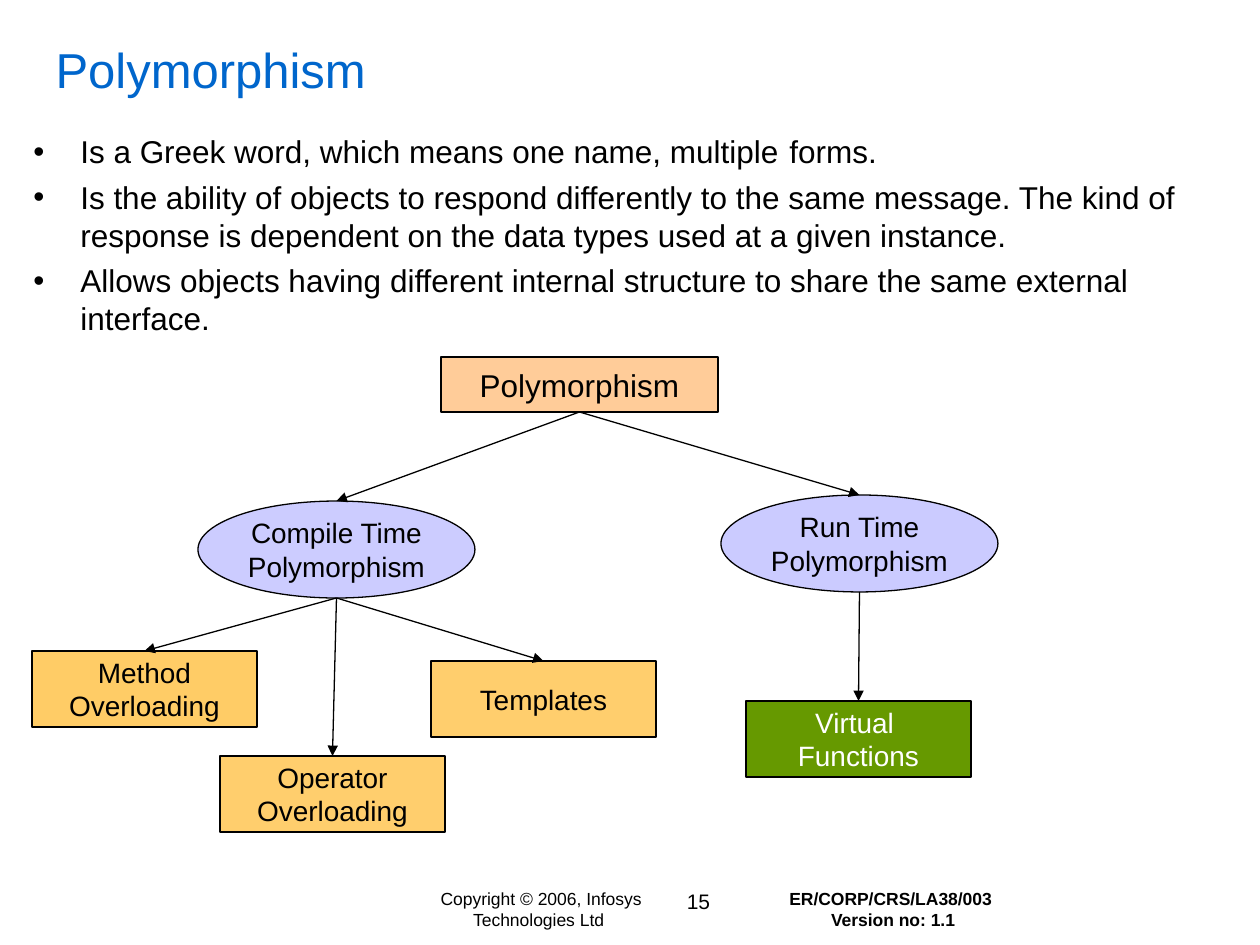
"""Build a slide on the kinds of polymorphism, with bullets and a tree diagram."""
from lxml import etree
from pptx import Presentation
from pptx.dml.color import RGBColor
from pptx.enum.shapes import MSO_CONNECTOR, MSO_SHAPE
from pptx.enum.text import MSO_ANCHOR, MSO_AUTO_SIZE, PP_ALIGN
from pptx.oxml.ns import qn
from pptx.util import Pt

RECTANGLE, ELLIPSE = MSO_SHAPE.RECTANGLE, MSO_SHAPE.OVAL
STRAIGHT = MSO_CONNECTOR.STRAIGHT
LEFT, CENTER = PP_ALIGN.LEFT, PP_ALIGN.CENTER
TOP, MIDDLE = MSO_ANCHOR.TOP, MSO_ANCHOR.MIDDLE
FIXED = MSO_AUTO_SIZE.NONE

INCH = 914400
SCALE = INCH / 126
TITLE_ONLY = 5
FONT = "Arial"
COLORS = {
    "title": "0066CC", "text": "000000", "line": "000000", "light": "FFFFFF",
    "root": "FFCC99", "compile": "CCCCFF", "run": "CBCBFF",
    "method": "FFCC66", "static": "FFCE6D", "virtual": "669900",
}

BULLETS = [
    "Is a Greek word, which means one name, multiple\tforms.",
    "Is the ability of objects to respond differently to the same message. "
    "The kind of response is dependent on the data types used at a given instance.",
    "Allows objects having different internal structure to share the same "
    "external interface.",
]
ROOT_SIZE, KIND_SIZE, LEAF_SIZE = (277, 55), (277, 97), (225, 76)
NODES = {
    "root": (RECTANGLE, (441, 357), ROOT_SIZE, "Polymorphism", "root", 18, "text"),
    "compile": (ELLIPSE, (198, 501), KIND_SIZE, "Compile Time\vPolymorphism",
                "compile", 16, "text"),
    "run": (ELLIPSE, (721, 495), KIND_SIZE, "Run Time\vPolymorphism",
            "run", 16, "text"),
    "method": (RECTANGLE, (32, 651), LEAF_SIZE, "Method\vOverloading",
               "method", 16, "text"),
    "operator": (RECTANGLE, (220, 756), LEAF_SIZE, "Operator\vOverloading",
                 "static", 16, "text"),
    "templates": (RECTANGLE, (431, 661), LEAF_SIZE, "Templates", "static", 16, "text"),
    "virtual": (RECTANGLE, (746, 701), LEAF_SIZE, "Virtual \nFunctions",
                "virtual", 16, "light"),
}
LINKS = [
    ("root", "compile"), ("root", "run"), ("compile", "method"),
    ("compile", "operator"), ("compile", "templates"), ("run", "virtual"),
]
FOOTERS = [
    ((399, 882, 284, 55), "Copyright © 2006, Infosys Technologies Ltd ", 10, False),
    ((638, 882, 121, 38), "15", 12, False),
    ((725, 882, 336, 55), "ER/CORP/CRS/LA38/003 \nVersion no: 1.1", 10, True),
]


def emu(*lengths):
    """Turn px lengths into EMU."""
    return [round(length * SCALE) for length in lengths]


def rgb(name):
    """Look up a named colour."""
    return RGBColor.from_string(COLORS[name])


class SlideBuilder:
    """Hold the slide and its style, and add each kind of element."""

    def __init__(self, slide):
        self.slide = slide

    def format_text(self, shape, size, color="text", align=CENTER, anchor=TOP,
                    bold=False, wrap=True):
        """Apply the shared text style to a shape."""
        frame = shape.text_frame
        frame.auto_size = FIXED
        frame.word_wrap = wrap
        frame.vertical_anchor = anchor
        for paragraph in frame.paragraphs:
            paragraph.alignment = align
            for run in paragraph.runs:
                run.font.name = FONT
                run.font.size = Pt(size)
                run.font.bold = bold
                run.font.color.rgb = rgb(color)

    def title(self, box, text):
        """Fill and place the title placeholder."""
        title = self.slide.shapes.title
        title.left, title.top, title.width, title.height = emu(*box)
        title.text_frame.text = text
        self.format_text(title, 28, "title", LEFT, MIDDLE)

    def text(self, box, text, size, bold=False, align=CENTER):
        """Add a text box."""
        shape = self.slide.shapes.add_textbox(*emu(*box))
        shape.text_frame.text = text
        self.format_text(shape, size, align=align, bold=bold)
        return shape

    def bullets(self, box, items, indent=47):
        """Add a bulleted list with tab stops at every inch."""
        shape = self.text(box, "\n".join(items), 18, align=LEFT)
        hang, = emu(indent)
        for index, paragraph in enumerate(shape.text_frame.paragraphs):
            properties = paragraph._p.get_or_add_pPr()
            properties.set("marL", str(hang))
            properties.set("indent", str(-hang))
            color = etree.SubElement(properties, qn("a:buClr"))
            etree.SubElement(color, qn("a:srgbClr"), val=COLORS["text"])
            etree.SubElement(properties, qn("a:buFont"), typeface=FONT)
            etree.SubElement(properties, qn("a:buChar"), char="•")
            tabs = etree.SubElement(properties, qn("a:tabLst"))
            for stop in range(1, 9):
                etree.SubElement(tabs, qn("a:tab"), pos=str(stop * INCH), algn="l")
            if index:
                paragraph.space_before = Pt(4.5)

    def node(self, kind, position, size, text, fill, font_size, color):
        """Add an outlined shape with a centred label."""
        shape = self.slide.shapes.add_shape(kind, *emu(*position, *size))
        shape.shadow.inherit = False
        shape.fill.solid()
        shape.fill.fore_color.rgb = rgb(fill)
        shape.line.color.rgb = rgb("line")
        shape.line.width = Pt(0.75)
        shape.text_frame.text = text
        self.format_text(shape, font_size, color, anchor=MIDDLE, wrap=False)
        return shape

    def arrow(self, parent, child):
        """Add an arrow from the bottom of one shape to the top of another."""
        connector = self.slide.shapes.add_connector(
            STRAIGHT,
            parent.left + parent.width // 2, parent.top + parent.height,
            child.left + child.width // 2, child.top)
        connector.line.color.rgb = rgb("line")
        connector.line.width = Pt(0.75)
        line = connector.line._get_or_add_ln()
        etree.SubElement(line, qn("a:tailEnd"), type="triangle")
        etree.SubElement(connector._element.spPr, qn("a:effectLst"))


def main():
    """Build and save the presentation."""
    presentation = Presentation()
    presentation.slide_width, presentation.slide_height = emu(1260, 945)
    layout = presentation.slide_layouts[TITLE_ONLY]
    builder = SlideBuilder(presentation.slides.add_slide(layout))
    builder.title((43, 33, 1182, 71), "Polymorphism")
    builder.bullets((21, 126, 1207, 231), BULLETS)
    shapes = {name: builder.node(*node) for name, node in NODES.items()}
    for parent, child in LINKS:
        builder.arrow(shapes[parent], shapes[child])
    for footer in FOOTERS:
        builder.text(*footer)
    presentation.save("out.pptx")


if __name__ == "__main__":
    main()
